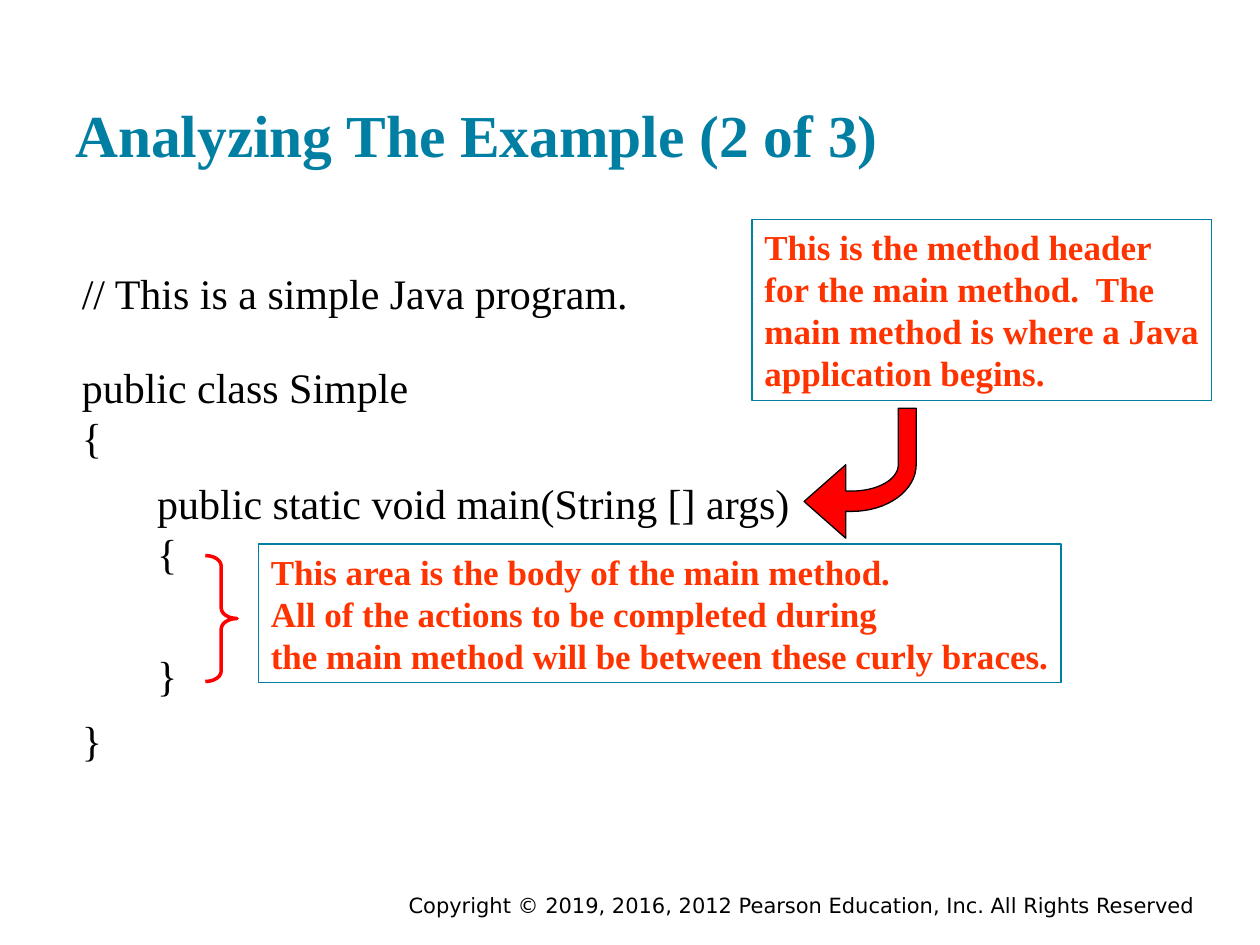
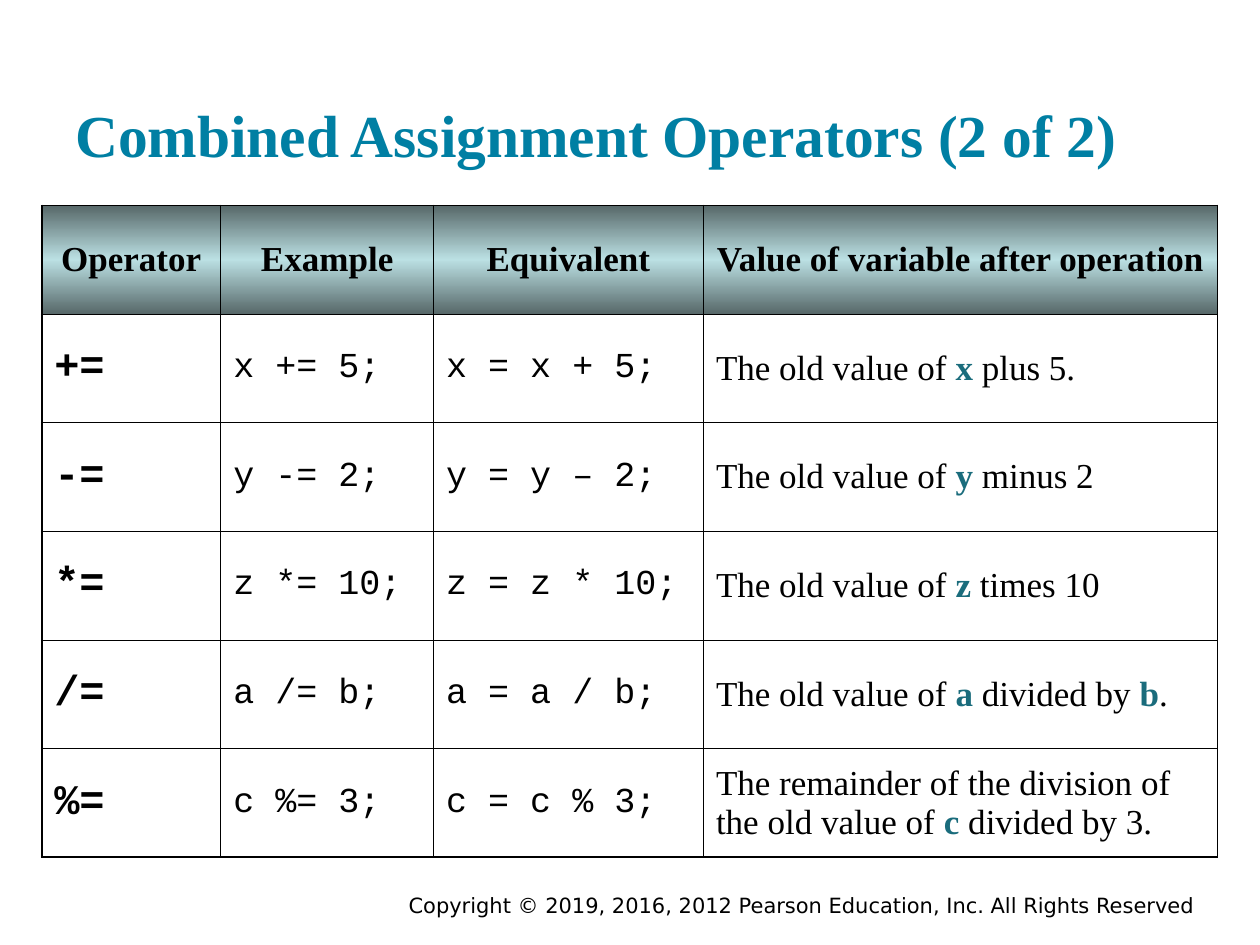
from math import cos, pi, sin

from pptx import Presentation
from pptx.dml.color import RGBColor
from pptx.enum.shapes import MSO_SHAPE
from pptx.enum.text import MSO_ANCHOR, PP_ALIGN
from pptx.oxml import parse_xml
from pptx.util import Cm, Pt

RECTANGLE = MSO_SHAPE.RECTANGLE
RIGHT_BRACE = MSO_SHAPE.RIGHT_BRACE
MIDDLE, BOTTOM = MSO_ANCHOR.MIDDLE, MSO_ANCHOR.BOTTOM
CENTER, RIGHT = PP_ALIGN.CENTER, PP_ALIGN.RIGHT

COLORS = {
    "title": "007FA3",
    "text": "000000",
    "callout": "FF3300",
    "arrow": "FF0000",
    "variable": "1A6C7C",
    "header_edge": "576869",
    "header_middle": "BBE0E3",
}
SERIF, MONO, FOOTER_FONT = "Times New Roman", "Courier New", "DejaVu Sans"
CODE_SIZE, CALLOUT_SIZE = 24, 20
LEADING = 1.2
CODE_LINE = CODE_SIZE * LEADING
THIN, THICK = 0.45, 1.08
DRAWING_NS = "http://schemas.openxmlformats.org/drawingml/2006/main"

COPYRIGHT = "Copyright © 2019, 2016, 2012 Pearson Education, Inc. All Rights Reserved"
COLUMN_WIDTHS = [3.61, 4.29, 5.44, 10.36]
HEADINGS = ["Operator", "Example", "Equivalent", "Value of variable after operation"]
OPERATORS = [
    ["+=", "x += 5;", "x = x + 5;", "The old value of |x| plus 5."],
    ["-=", "y -= 2;", "y = y – 2;", "The old value of |y| minus 2"],
    ["*=", "z *= 10;", "z = z * 10;", "The old value of |z| times 10"],
    ["/=", "a /= b;", "a = a / b;", "The old value of |a| divided by |b|."],
    ["%=", "c %= 3;", "c = c % 3;",
     "The remainder of the division of the old value of |c| divided by 3."],
]


def rgb(name):
    return RGBColor.from_string(COLORS[name])


def style(font, size, color="text", name=SERIF, bold=False):
    font.size = Pt(size)
    font.name = name
    font.bold = bold
    font.color.rgb = rgb(color)


def add_text(s, box, text, size, color="text", name=SERIF, bold=False):
    tf = s.shapes.add_textbox(*map(Cm, box)).text_frame
    tf.word_wrap = True
    tf.text = text
    style(tf.paragraphs[0].runs[0].font, size, color, name, bold)
    return tf


def add_frame(prs, title):
    s = prs.slides.add_slide(prs.slide_layouts[6])
    footer = add_text(s, (4.45, 17.86, 19.89, 0.56), COPYRIGHT, 12, name=FOOTER_FONT)
    footer.paragraphs[0].alignment = RIGHT
    tf = add_text(s, (1.27, 0.61, 22.86, 3.05), title, 34, "title", bold=True)
    tf.vertical_anchor = BOTTOM
    tf.margin_top = tf.margin_bottom = Cm(0.25)
    return s


def fill_lines(tf, lines, size, color="text", bold=False):
    tf.text = "\n".join(lines)
    for p in tf.paragraphs:
        p.line_spacing = Pt(size * LEADING)
        for r in p.runs:
            style(r.font, size, color, bold=bold)


def add_code(s, box, lines, gap_before_last=0):
    tf = s.shapes.add_textbox(*map(Cm, box)).text_frame
    tf.word_wrap = False
    fill_lines(tf, lines, CODE_SIZE)
    if gap_before_last:
        tf.paragraphs[-1].space_before = Pt(gap_before_last)


def add_callout(s, box, lines):
    sp = s.shapes.add_shape(RECTANGLE, *map(Cm, box))
    sp.shadow.inherit = False
    sp.fill.background()
    sp.line.color.rgb = rgb("title")
    sp.line.width = Pt(0.75)
    tf = sp.text_frame
    tf.word_wrap = False
    tf.vertical_anchor = MSO_ANCHOR.TOP
    fill_lines(tf, lines, CALLOUT_SIZE, "callout", bold=True)
    for p in tf.paragraphs:
        p.alignment = PP_ALIGN.LEFT


def add_body_brace(s, box):
    sp = s.shapes.add_shape(RIGHT_BRACE, *map(Cm, box))
    sp.adjustments[0] = 0.33
    sp.shadow.inherit = False
    sp.fill.background()
    sp.line.color.rgb = rgb("arrow")
    sp.line.width = Pt(2)


def quarter_arc(center, rx, ry, steps=16):
    angles = [pi / 2 * i / steps for i in range(steps + 1)]
    return [(center[0] + rx * sin(a), center[1] + ry * cos(a)) for a in angles]


def add_bent_arrow(s, left, top):
    bend = (0.97, 1.14)
    outline = [(0, 1.88), (0.84, 2.62), (0.84, 2.08)]
    outline += quarter_arc(bend, 1.29, 0.94)
    outline += [(2.26, 0), (1.9, 0)]
    outline += quarter_arc(bend, 0.93, 0.53)[::-1]
    outline += [(0.84, 1.67), (0.84, 1.14)]
    points = [(Cm(left + x), Cm(top + y)) for x, y in outline]
    builder = s.shapes.build_freeform(*points[0])
    builder.add_line_segments(points[1:], close=True)
    sp = builder.convert_to_shape()
    sp.shadow.inherit = False
    sp.fill.solid()
    sp.fill.fore_color.rgb = rgb("arrow")
    sp.line.color.rgb = rgb("text")
    sp.line.width = Pt(0.75)


def set_borders(cell, widths):
    for side, width in zip("LRTB", widths):
        cell._tc.get_or_add_tcPr().append(parse_xml(
            f'<a:ln{side} xmlns:a="{DRAWING_NS}" w="{Pt(width)}"><a:solidFill>'
            f'<a:srgbClr val="{COLORS["text"]}"/></a:solidFill></a:ln{side}>'))


def set_header_gradient(cell):
    stops = "".join(
        f'<a:gs pos="{pos}"><a:srgbClr val="{COLORS[name]}"/></a:gs>'
        for pos, name in ((0, "header_edge"), (50000, "header_middle"),
                          (100000, "header_edge")))
    cell._tc.get_or_add_tcPr().append(parse_xml(
        f'<a:gradFill xmlns:a="{DRAWING_NS}" rotWithShape="1"><a:gsLst>{stops}</a:gsLst>'
        '<a:lin ang="5400000" scaled="0"/></a:gradFill>'))


def fill_cell(cell, text, row, col):
    p = cell.text_frame.paragraphs[0]
    for i, part in enumerate(text.split("|")):
        r = p.add_run()
        r.text = part
        if row == 0:
            style(r.font, 20, bold=True)
        elif col == 0:
            style(r.font, 24, name=MONO, bold=True)
        elif col < 3:
            style(r.font, 20, name=MONO)
        elif i % 2:
            style(r.font, 20, "variable", bold=True)
        else:
            style(r.font, 20)
    if row == 0:
        p.alignment = CENTER


def add_operator_table(s, left, top, row_height):
    rows = [HEADINGS] + OPERATORS
    last_row, last_col = len(rows) - 1, len(HEADINGS) - 1
    table = s.shapes.add_table(
        len(rows), len(HEADINGS), Cm(left), Cm(top),
        Cm(sum(COLUMN_WIDTHS)), Cm(row_height * len(rows))).table
    table.first_row = table.horz_banding = False
    for column, width in zip(table.columns, COLUMN_WIDTHS):
        column.width = Cm(width)
    for i, texts in enumerate(rows):
        table.rows[i].height = Cm(row_height)
        for j, text in enumerate(texts):
            cell = table.cell(i, j)
            cell.vertical_anchor = MIDDLE
            outer = (j == 0, j == last_col, i == 0, i == last_row)
            set_borders(cell, [THICK if edge else THIN for edge in outer])
            if i == 0:
                set_header_gradient(cell)
            else:
                cell.fill.background()
            fill_cell(cell, text, i, j)


def build_example_slide(prs):
    s = add_frame(prs, "Analyzing The Example (2 of 3)")
    add_code(s, (1.4, 5.26, 11.53, 1.27), ["// This is a simple Java program."])
    add_code(s, (1.4, 7.16, 8.26, 8.38), ["public class Simple", "{", "}"],
             5 * CODE_LINE)
    add_code(s, (2.92, 9.5, 13.26, 5.97),
             ["public static void main(String [] args)", "{", "}"], CODE_LINE + 12)
    add_callout(s, (5.21, 10.97, 16.18, 2.79), [
        "This area is the body of the main method.",
        "All of the actions to be completed during",
        "the main method will be between these curly braces."])
    add_body_brace(s, (4.14, 11.2, 0.64, 2.54))
    add_callout(s, (15.16, 4.42, 9.27, 3.66), [
        "This is the method header",
        "for the main method.  The",
        "main method is where a Java",
        "application begins."])
    add_bent_arrow(s, 16.21, 8.23)


def build_operators_slide(prs):
    s = add_frame(prs, "Combined Assignment Operators (2 of 2)")
    add_operator_table(s, 0.84, 4.14, 2.19)


def main():
    prs = Presentation()
    prs.slide_width, prs.slide_height = Cm(25.4), Cm(19.05)
    build_example_slide(prs)
    build_operators_slide(prs)
    prs.save("out.pptx")


if __name__ == "__main__":
    main()
